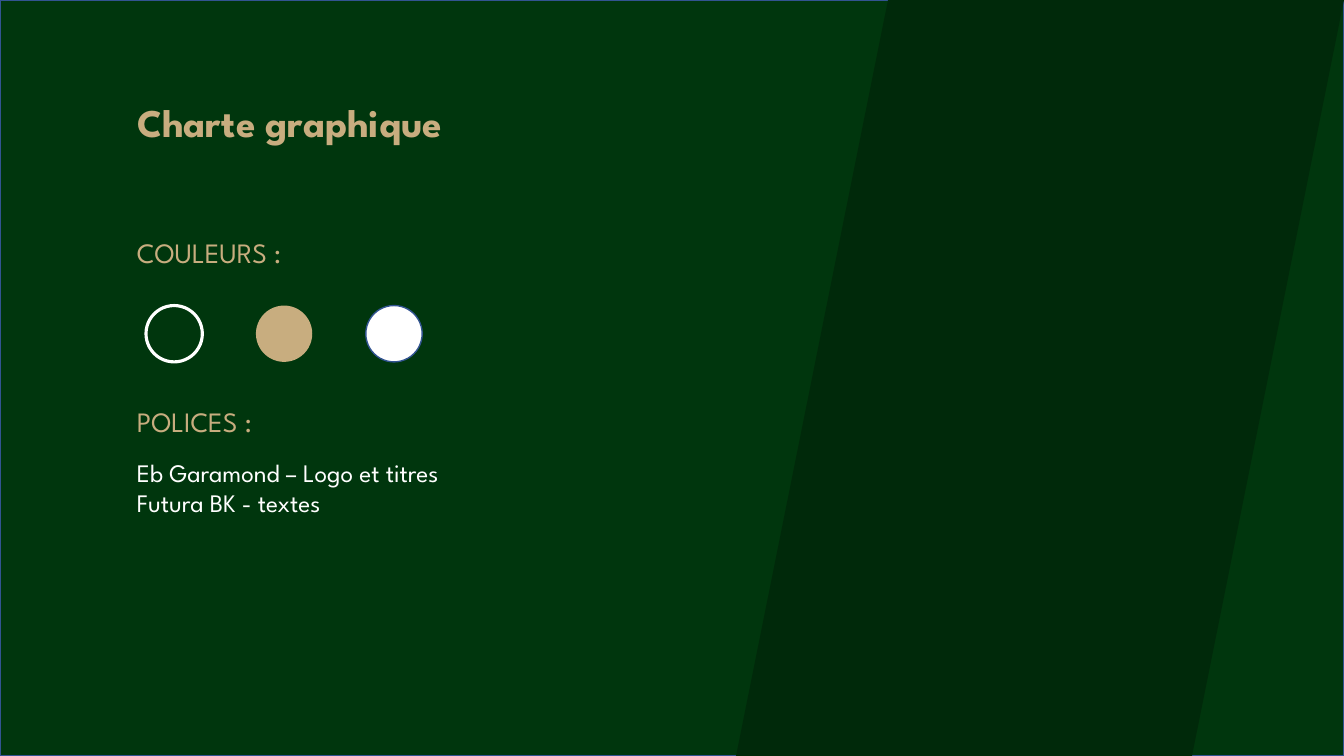
from pptx import Presentation
from pptx.dml.color import RGBColor
from pptx.enum.shapes import MSO_SHAPE
from pptx.enum.text import MSO_ANCHOR, MSO_AUTO_SIZE, PP_ALIGN
from pptx.util import Cm, Pt

RECTANGLE = MSO_SHAPE.RECTANGLE
OVAL = MSO_SHAPE.OVAL
PARALLELOGRAM = MSO_SHAPE.PARALLELOGRAM
TOP = MSO_ANCHOR.TOP
LEFT = PP_ALIGN.LEFT
NO_AUTOFIT = MSO_AUTO_SIZE.NONE

GREEN = RGBColor(0x00, 0x36, 0x0D)
DARK_GREEN = RGBColor(0x00, 0x29, 0x0A)
GOLD = RGBColor(0xC8, 0xAD, 0x7F)
WHITE = RGBColor(0xFF, 0xFF, 0xFF)
BLUE = RGBColor(0x32, 0x54, 0x91)

FONT = "League Spartan"
SLIDE_W, SLIDE_H = 33.87, 19.05
TITLE_ONLY = 5


def write(holder, text, size=18, color=WHITE, bold=False):
    """Fill a text holder with left-aligned lines in one format."""
    frame = holder.text_frame
    frame.text = text
    frame.word_wrap = True
    frame.auto_size = NO_AUTOFIT
    frame.vertical_anchor = TOP
    for paragraph in frame.paragraphs:
        paragraph.alignment = LEFT
        paragraph.line_spacing = 1.0
        paragraph.space_before = Pt(0)
        font = paragraph.runs[0].font
        font.name, font.size, font.bold = FONT, Pt(size), bold
        font.color.rgb = color


def add_text(slide, box, text, **style):
    """Add a text box at box, given in centimetres."""
    write(slide.shapes.add_textbox(*map(Cm, box)), text, **style)


def add_figure(slide, kind, box, fill=None, line=None, weight=1):
    """Add a flat preset shape with optional fill and outline."""
    figure = slide.shapes.add_shape(kind, *map(Cm, box))
    figure.shadow.inherit = False
    if fill is None:
        figure.fill.background()
    else:
        figure.fill.solid()
        figure.fill.fore_color.rgb = fill
    if line is None:
        figure.line.fill.background()
    else:
        figure.line.color.rgb = line
        figure.line.width = Pt(weight)
    return figure


def add_backdrop(slide, box):
    """Cover the box in green, behind everything else."""
    backdrop = add_figure(slide, RECTANGLE, box, fill=GREEN, line=BLUE)
    slide.shapes._spTree.insert(2, backdrop._element)


def add_title(slide, box):
    """Move and format the title placeholder."""
    title = slide.shapes.title
    title.left, title.top, title.width, title.height = map(Cm, box)
    write(title, "Charte graphique", size=28, color=GOLD, bold=True)


def add_palette(slide, box):
    """Place the colour heading and its evenly spaced swatches."""
    left, top, width, _ = box
    add_text(slide, (left, top, width, 1.12), "COULEURS :", size=20, color=GOLD)
    swatches = [
        {"line": WHITE, "weight": 2.25},
        {"fill": GOLD},
        {"fill": WHITE, "line": BLUE},
    ]
    diameter, step = 1.42, 2.77
    for index, look in enumerate(swatches):
        place = (left + 0.48 + index * step, top + 1.88, diameter, diameter)
        add_figure(slide, OVAL, place, **look)


def add_typefaces(slide, box):
    """Place the typeface heading and the list of typefaces."""
    left, top, width, height = box
    add_text(slide, (left, top, width, 1.12), "POLICES :", size=20, color=GOLD)
    add_text(slide, (left, top + 1.34, width, height - 1.34),
             "Eb Garamond – Logo et titres\nFutura BK - textes")


def build_style_guide(presentation):
    """Add the style guide slide."""
    slide = presentation.slides.add_slide(presentation.slide_layouts[TITLE_ONLY])
    add_backdrop(slide, (0, 0, SLIDE_W, SLIDE_H))
    add_title(slide, (3.2, 2.36, 18.47, 1.45))
    add_palette(slide, (3.2, 5.82, 17.96, 3.3))
    add_typefaces(slide, (3.2, 10.06, 17.96, 3.14))
    band_left = 18.55
    add_figure(slide, PARALLELOGRAM, (band_left, 0, SLIDE_W - band_left, SLIDE_H),
               fill=DARK_GREEN)


presentation = Presentation()
presentation.slide_width, presentation.slide_height = Cm(SLIDE_W), Cm(SLIDE_H)
build_style_guide(presentation)
presentation.save("out.pptx")
